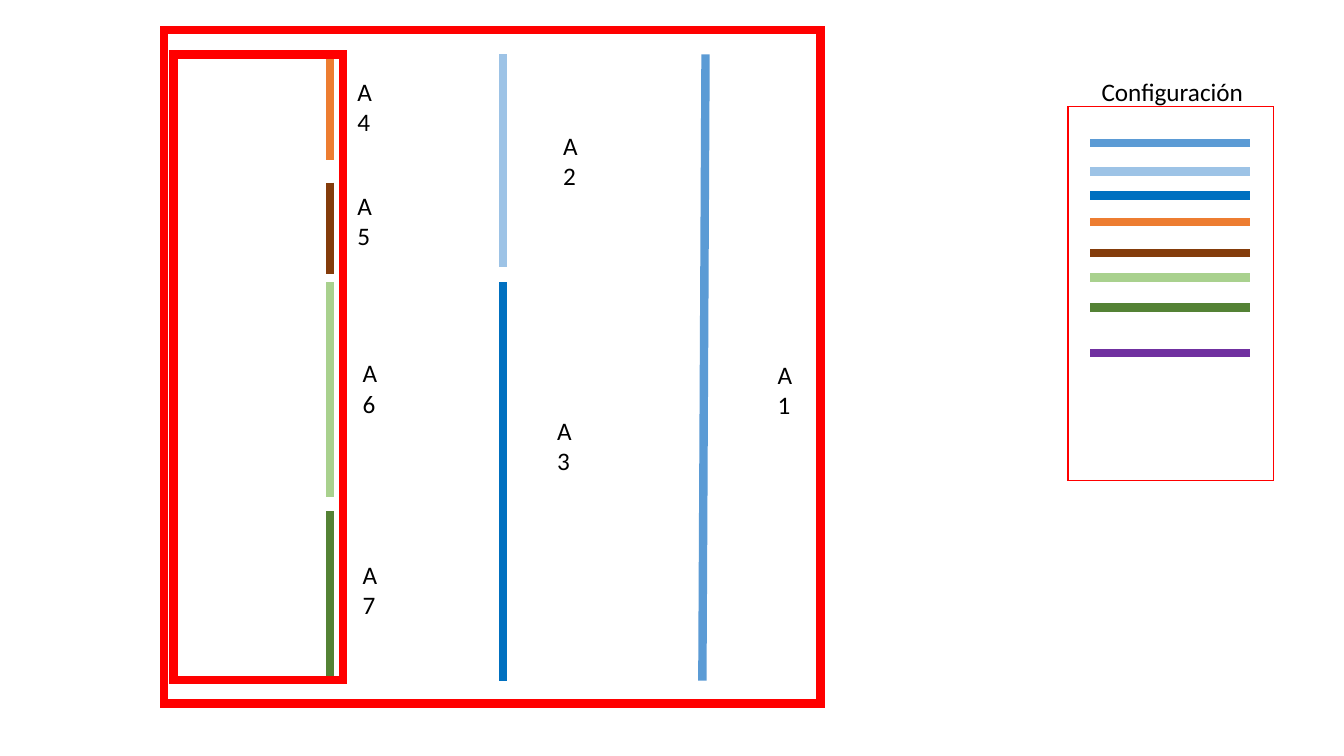
from lxml import etree
from pptx import Presentation
from pptx.dml.color import RGBColor
from pptx.enum.shapes import MSO_CONNECTOR, MSO_SHAPE
from pptx.enum.text import MSO_AUTO_SIZE, PP_ALIGN
from pptx.oxml.ns import qn
from pptx.util import Cm, Pt

STRAIGHT = MSO_CONNECTOR.STRAIGHT
RECTANGLE = MSO_SHAPE.RECTANGLE
FIT_SHAPE = MSO_AUTO_SIZE.SHAPE_TO_FIT_TEXT
LEFT, CENTER = PP_ALIGN.LEFT, PP_ALIGN.CENTER

COLORS = {
    "A1": "5B9BD5", "A2": "9DC3E6", "A3": "0070C0", "A4": "ED7D31",
    "A5": "843C0B", "A6": "A9D18E", "A7": "548235", "extra": "7030A0",
    "frame": "FF0000", "background": "FFFFFF", "text": "000000",
}
THICK, THIN = 6, 1

presentation = Presentation()
presentation.slide_width = Cm(33.87)
presentation.slide_height = Cm(19.05)
slide = presentation.slides.add_slide(presentation.slide_layouts[6])
diagram = slide.shapes.add_group_shape()


def add_outlined(shapes, box, color, width, is_line=False, fill=None):
    """Add a straight line (from, to) or a rectangle (left, top, width, height)."""
    lengths = [Cm(value) for value in box]
    if is_line:
        shape = shapes.add_connector(STRAIGHT, *lengths)
        etree.SubElement(shape._element.spPr, qn("a:effectLst"))
    else:
        shape = shapes.add_shape(RECTANGLE, *lengths)
        shape.shadow.inherit = False
        if fill:
            shape.fill.solid()
            shape.fill.fore_color.rgb = RGBColor.from_string(COLORS[fill])
        else:
            shape.fill.background()
    shape.line.color.rgb = RGBColor.from_string(COLORS[color])
    shape.line.width = Pt(width)
    outline = shape._element.spPr.find(qn("a:ln"))
    etree.SubElement(outline, qn("a:miter")).set("lim", "800000")


def add_label(shapes, box, lines, alignment):
    """Add a text box with one paragraph for each line."""
    frame = shapes.add_textbox(*[Cm(value) for value in box]).text_frame
    frame.word_wrap = True
    frame.auto_size = FIT_SHAPE
    frame.text = "\n".join(lines)
    font_format = {"name": "Calibri", "size": Pt(18)}
    for paragraph in frame.paragraphs:
        paragraph.alignment = alignment
        font = paragraph.runs[0].font
        for attribute, value in font_format.items():
            setattr(font, attribute, value)
        font.color.rgb = RGBColor.from_string(COLORS["text"])


# Outer frame
add_outlined(diagram.shapes, (4.14, 0.76, 16.54, 16.97), "frame", THICK,
             fill="background")

# Vertical sections: from x, from y, to x, to y
TOP, BOTTOM = 1.37, 17.15
MIDDLE_X, INNER_X = 12.67, 8.31
sections = {
    "A1": (17.78, TOP, 17.7, BOTTOM),
    "A2": (MIDDLE_X, TOP, MIDDLE_X, 6.73),
    "A3": (MIDDLE_X, 7.11, MIDDLE_X, BOTTOM),
    "A4": (INNER_X, TOP, INNER_X, 4.04),
    "A5": (INNER_X, 4.6, INNER_X, 6.91),
    "A6": (INNER_X, 7.11, INNER_X, 12.52),
    "A7": (INNER_X, 12.88, INNER_X, BOTTOM),
}
for name, ends in sections.items():
    add_outlined(diagram.shapes, ends, name, THICK, is_line=True)

# Section labels: left, top, width
labels = {
    "A1": (19.35, 8.92, 1.19),
    "A2": (13.94, 3.15, 2.13),
    "A3": (13.79, 10.34, 2.13),
    "A4": (8.76, 1.8, 2.13),
    "A5": (8.76, 4.67, 2.13),
    "A6": (8.89, 8.89, 2.13),
    "A7": (8.89, 13.97, 2.13),
}
for name, position in labels.items():
    add_label(diagram.shapes, (*position, 1.8), list(name), LEFT)

# Configuration panel
legend_rows = {"A1": 3.61, "A2": 4.32, "A3": 4.93, "A4": 5.59,
               "A5": 6.38, "A6": 6.99, "A7": 7.75, "extra": 8.89}
for name, y in legend_rows.items():
    add_outlined(slide.shapes, (27.48, y, 31.5, y), name, THICK, is_line=True)
add_outlined(slide.shapes, (26.92, 2.69, 5.18, 9.42), "frame", THIN)
add_label(slide.shapes, (26.87, 1.8, 5.49, 1.02), ["Configuración "], CENTER)

# Inner frame
add_outlined(slide.shapes, (4.37, TOP, 4.27, 15.77), "frame", THICK)

presentation.save("out.pptx")
